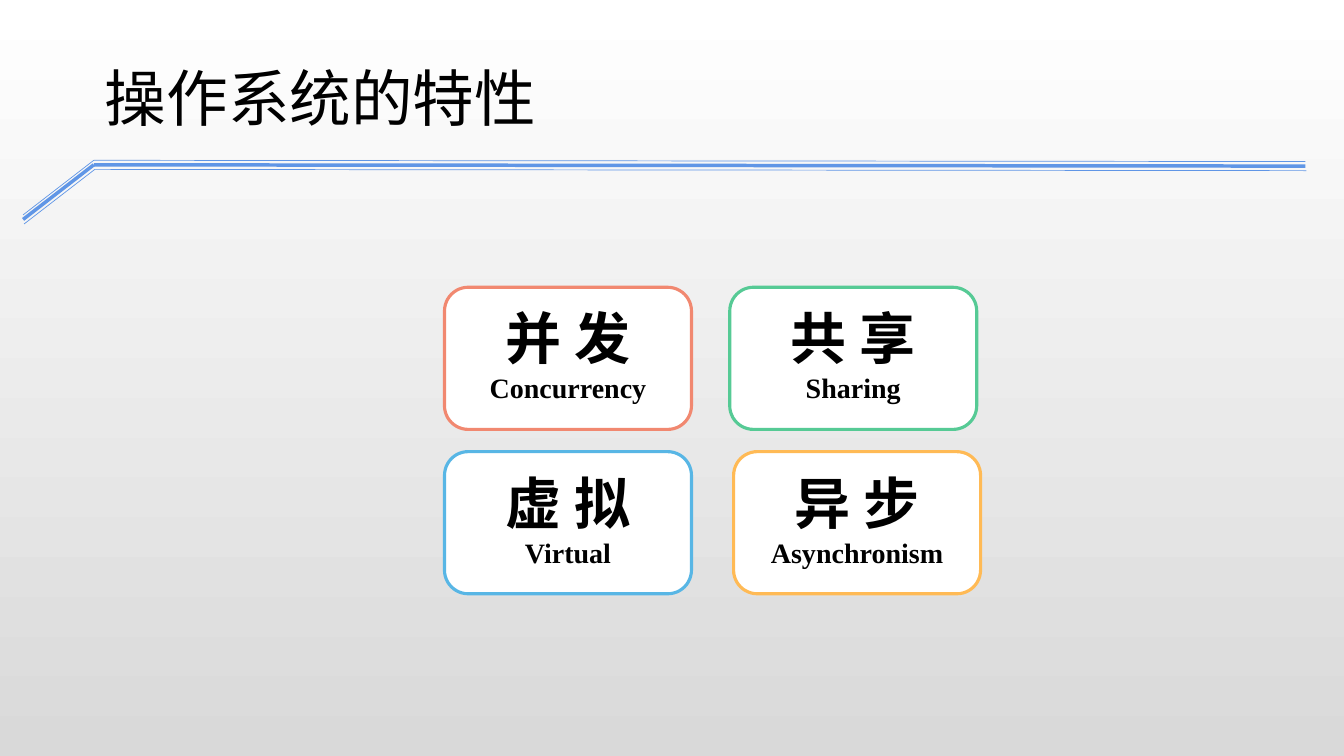
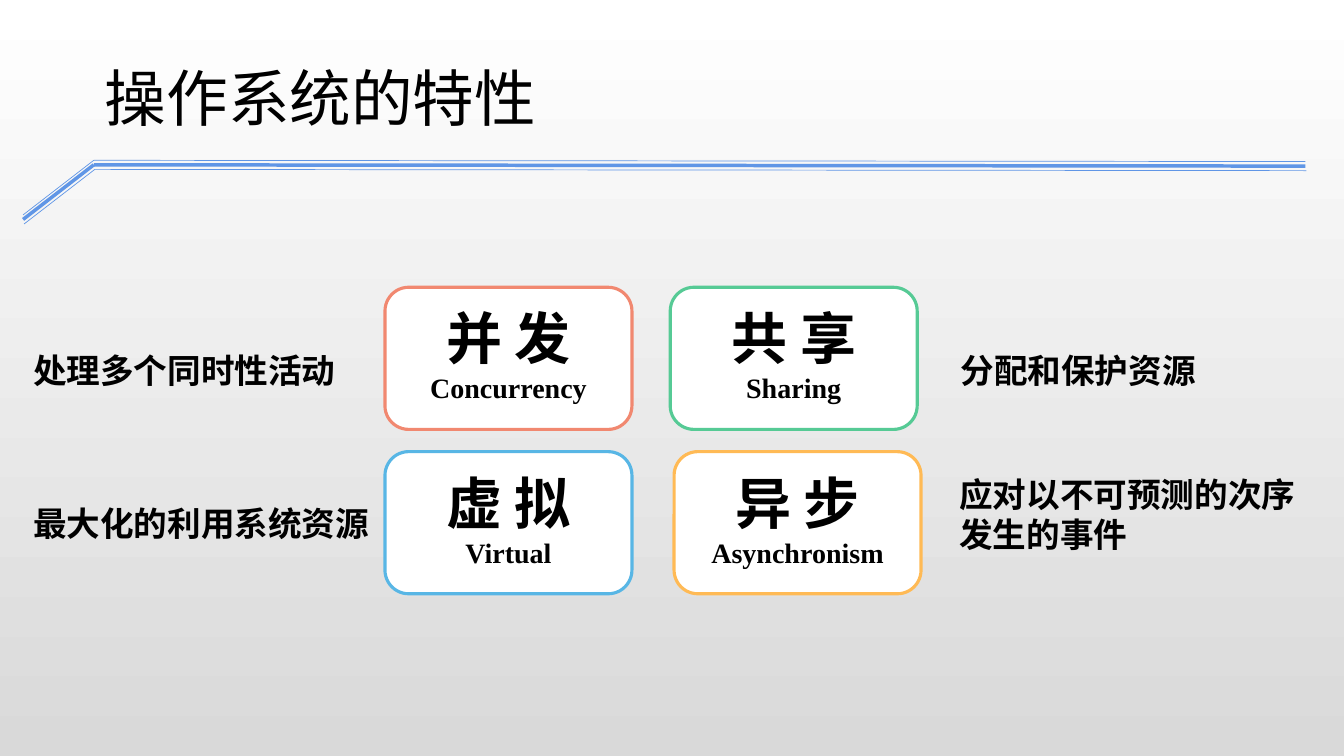
"""Build two slides on the characteristics of an operating system."""
from lxml import etree
from pptx import Presentation
from pptx.dml.color import RGBColor
from pptx.enum.shapes import MSO_CONNECTOR, MSO_SHAPE
from pptx.enum.text import MSO_ANCHOR, MSO_AUTO_SIZE, PP_ALIGN
from pptx.oxml.ns import qn
from pptx.util import Pt

STRAIGHT = MSO_CONNECTOR.STRAIGHT
ROUNDED = MSO_SHAPE.ROUNDED_RECTANGLE
TOP, MIDDLE = MSO_ANCHOR.TOP, MSO_ANCHOR.MIDDLE
LEFT, CENTER = PP_ALIGN.LEFT, PP_ALIGN.CENTER
GROW = MSO_AUTO_SIZE.SHAPE_TO_FIT_TEXT

BLACK = RGBColor(0x00, 0x00, 0x00)
WHITE = RGBColor(0xFF, 0xFF, 0xFF)
GREY = RGBColor(0xD9, 0xD9, 0xD9)
BLUE = RGBColor(0x60, 0x96, 0xE6)
CORAL = RGBColor(0xF1, 0x88, 0x70)
SKY = RGBColor(0x58, 0xB6, 0xE5)
GREEN = RGBColor(0x56, 0xCA, 0x95)
AMBER = RGBColor(0xFF, 0xBA, 0x55)

TITLE_FONT = "Noto Sans CJK JP"
CARD_FONT = "Noto Sans CJK SC"
ENGLISH_FONT = "Times New Roman"
NOTE_FONT = "Arial"

TITLE = "操作系统的特性"
RAILS = [(0, 0, 0.5), (0, 3.25, 2.5), (0.72, 6.5, 0.5)]
RAIL_POINTS = [(16.5, 153.5), (67, 114.5), (932.4, 115.4)]
CARD_WIDTH, CARD_HEIGHT = 176.4, 101.5
CARD_TOP, ROW_STEP = 205.2, 117.4
CARDS = [
    ("并 发", "Concurrency", CORAL, 0, 0),
    ("虚 拟", "Virtual", SKY, 0, 1),
    ("共 享", "Sharing", GREEN, 203.75, 0),
    ("异 步", "Asynchronism", AMBER, 206.5, 1),
]
NOTES = [
    (["处理多个同时性活动"], 16.6, 246.2, 230.4),
    (["最大化的利用系统资源"], 16.6, 355.7, 254.2),
    (["分配和保护资源"], 679, 246.2, 182.2),
    (["应对以不可预测的次序", "发生的事件"], 678.2, 334.8, 254.2),
]
SLIDES = [(317.5, []), (275, NOTES)]


def write(paragraph, text, size, font_name, bold, alignment):
    paragraph.text = text
    paragraph.alignment = alignment
    font = paragraph.font
    font.size = Pt(size)
    font.bold = bold
    font.color.rgb = BLACK
    font.name = font_name
    properties = paragraph._p.pPr.find(qn("a:defRPr"))
    etree.SubElement(properties, qn("a:ea"), typeface=font_name)


presentation = Presentation()
presentation.slide_width = Pt(960)
presentation.slide_height = Pt(540)

background = presentation.slide_master.background.fill
background.gradient()
background.gradient_angle = 270
for stop, color in zip(background.gradient_stops, (WHITE, GREY)):
    stop.color.rgb = color

for cards_left, notes in SLIDES:
    slide = presentation.slides.add_slide(presentation.slide_layouts[5])

    for shift_x, shift_y, weight in RAILS:
        for (x1, y1), (x2, y2) in zip(RAIL_POINTS, RAIL_POINTS[1:]):
            rail = slide.shapes.add_connector(
                STRAIGHT, Pt(x1 + shift_x), Pt(y1 + shift_y),
                Pt(x2 + shift_x), Pt(y2 + shift_y))
            rail.line.color.rgb = BLUE
            rail.line.width = Pt(weight)
            etree.SubElement(rail._element.spPr, qn("a:effectLst"))

    title = slide.shapes.title
    title.left, title.top = Pt(67.7), Pt(45.4)
    title.width, title.height = Pt(472.3), Pt(60.5)
    title.text_frame.vertical_anchor = TOP
    title.text_frame.auto_size = GROW
    heading = title.text_frame.paragraphs[0]
    write(heading, TITLE, 44, TITLE_FONT, False, LEFT)
    heading.line_spacing = 0.9

    for chinese, english, color, offset, row in CARDS:
        card = slide.shapes.add_shape(
            ROUNDED, Pt(cards_left + offset), Pt(CARD_TOP + row * ROW_STEP),
            Pt(CARD_WIDTH), Pt(CARD_HEIGHT))
        card.shadow.inherit = False
        card.fill.solid()
        card.fill.fore_color.rgb = WHITE
        card.line.color.rgb = color
        card.line.width = Pt(2.25)
        frame = card.text_frame
        frame.vertical_anchor = MIDDLE
        frame.margin_bottom = Pt(9.6)
        write(frame.paragraphs[0], chinese, 40, CARD_FONT, True, CENTER)
        write(frame.add_paragraph(), english, 20, ENGLISH_FONT, True, CENTER)

    for lines, left, top, width in notes:
        note = slide.shapes.add_textbox(
            Pt(left), Pt(top), Pt(width), Pt(7 + 29 * len(lines)))
        frame = note.text_frame
        frame.word_wrap = False
        frame.auto_size = GROW
        for index, line in enumerate(lines):
            paragraph = frame.add_paragraph() if index else frame.paragraphs[0]
            write(paragraph, line, 24, NOTE_FONT, True, LEFT)

presentation.save("out.pptx")
